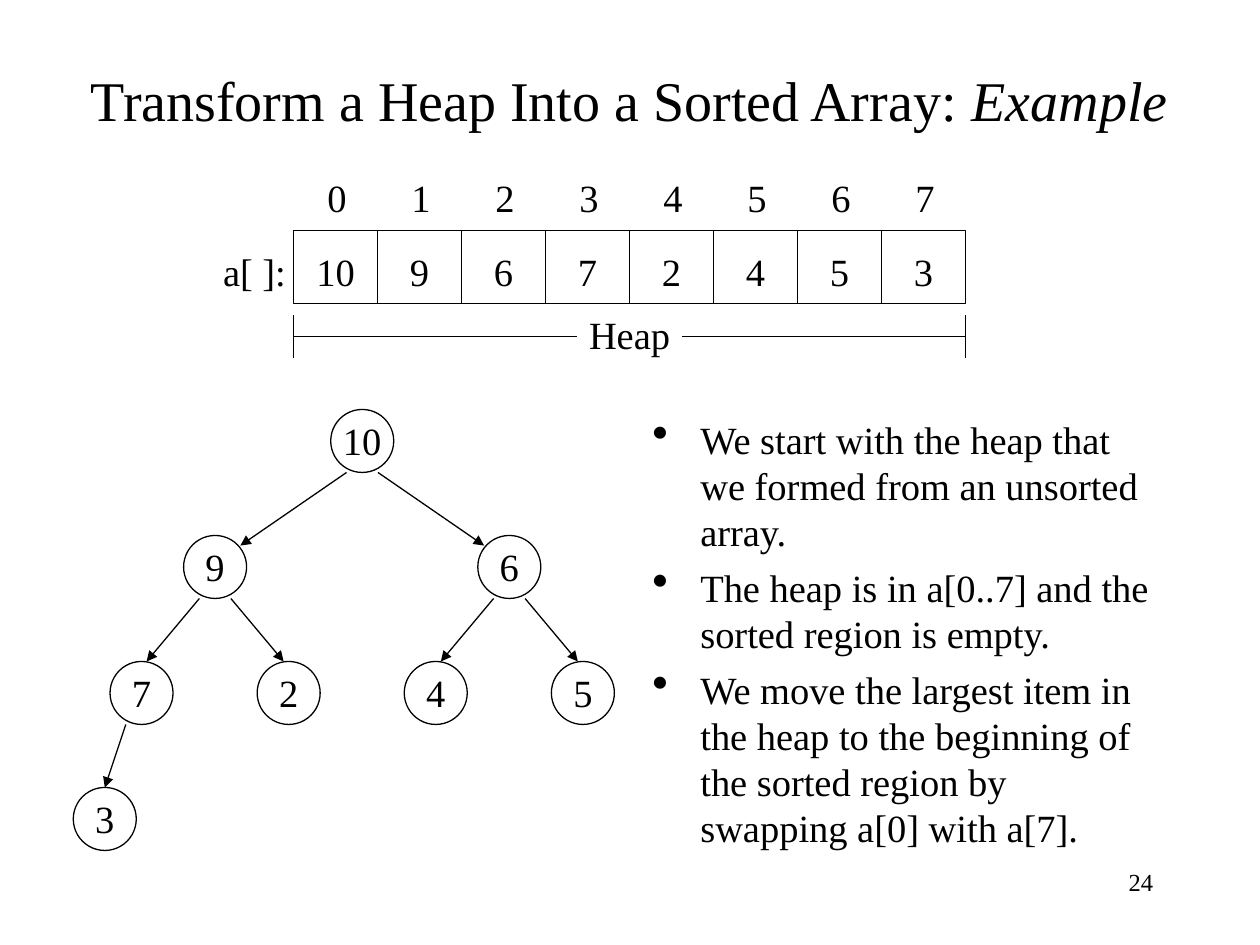
from dataclasses import dataclass

from lxml import etree
from pptx import Presentation
from pptx.dml.color import RGBColor
from pptx.enum.shapes import MSO_CONNECTOR, MSO_SHAPE
from pptx.enum.text import MSO_ANCHOR, PP_ALIGN
from pptx.oxml.ns import qn
from pptx.util import Inches, Pt

LEFT, CENTER, RIGHT = PP_ALIGN.LEFT, PP_ALIGN.CENTER, PP_ALIGN.RIGHT
TOP, MIDDLE = MSO_ANCHOR.TOP, MSO_ANCHOR.MIDDLE
ELLIPSE, RECTANGLE = MSO_SHAPE.OVAL, MSO_SHAPE.RECTANGLE
STRAIGHT = MSO_CONNECTOR.STRAIGHT


@dataclass(frozen=True)
class Theme:
    font: str = "Times New Roman"
    ink: RGBColor = RGBColor(0, 0, 0)
    title: float = 32
    body: float = 22
    page_number: float = 14
    line: float = 0.75


THEME = Theme()

HEAP = [10, 9, 6, 7, 2, 4, 5, 3]
NOTES = [
    "We start with the heap that we formed from an unsorted array.",
    "The heap is in a[0..7] and the sorted region is empty.",
    "We move the largest item in the heap to the beginning of the sorted "
    "region by swapping a[0] with a[7].",
]

ARRAY_LEFT, ARRAY_TOP = 2.33, 1.83
CELL_WIDTH, CELL_HEIGHT = 2 / 3, 0.58
TREE_LEFT, TREE_TOP, TREE_WIDTH = 0.54, 3.25, 4.67
NODE_SIZE, LEVEL_STEP = 0.5, 1
# Where an arrow lands, by depth of the child: offset from its top centre
ARROW_LANDING = {1: (0.2, 0.08), 2: (0.04, 0), 3: (0, 0)}


def write_text(frame, text, *, size=THEME.body, align=CENTER, anchor=MIDDLE,
               wrap=True, bullet=False, space_before=0):
    """Fill a frame; text is a string or a list of paragraphs,
    each a string or a list of (words, italic) runs."""
    frame.word_wrap = wrap
    frame.vertical_anchor = anchor
    for number, content in enumerate([text] if isinstance(text, str) else text):
        paragraph = frame.add_paragraph() if number else frame.paragraphs[0]
        paragraph.alignment = align
        if bullet:
            add_bullet(paragraph)
        if number:
            paragraph.space_before = Pt(space_before)
        runs = [(content, False)] if isinstance(content, str) else content
        for words, italic in runs:
            run = paragraph.add_run()
            run.text = words
            run.font.name = THEME.font
            run.font.size = Pt(size)
            run.font.italic = italic
            run.font.color.rgb = THEME.ink


def add_bullet(paragraph):
    properties = paragraph._p.get_or_add_pPr()
    properties.set("marL", str(Inches(0.38)))
    properties.set("indent", str(Inches(-0.38)))
    etree.SubElement(properties, qn("a:buSzPct"), val="120000")
    etree.SubElement(properties, qn("a:buChar"), char="•")


def add_text(slide, text, left, top, width, height, **text_format):
    box = slide.shapes.add_textbox(Inches(left), Inches(top), Inches(width), Inches(height))
    write_text(box.text_frame, text, **text_format)


def add_outlined(slide, kind, text, left, top, width, height, text_shift=0):
    """Add an unfilled shape whose text sits text_shift below its middle."""
    shape = slide.shapes.add_shape(kind, Inches(left), Inches(top), Inches(width), Inches(height))
    shape.shadow.inherit = False
    shape.fill.background()
    shape.line.color.rgb = THEME.ink
    shape.line.width = Pt(THEME.line)
    frame = shape.text_frame
    frame.margin_left = frame.margin_right = 0
    frame.margin_top = Inches(0.05 + text_shift)
    frame.margin_bottom = Inches(0.05 - text_shift)
    write_text(frame, text, wrap=False)


def add_line(slide, start, end, arrow=False):
    points = [Inches(value) for value in (*start, *end)]
    connector = slide.shapes.add_connector(STRAIGHT, *points)
    connector.line.color.rgb = THEME.ink
    connector.line.width = Pt(THEME.line)
    if arrow:
        etree.SubElement(connector.line._get_or_add_ln(), qn("a:tailEnd"), type="triangle")
    etree.SubElement(connector._element.spPr, qn("a:effectLst"))


def add_array(slide, values):
    add_text(slide, "a[ ]:", 1.67, 1.92, 0.7, 0.47, wrap=False)
    for index, value in enumerate(values):
        left = ARRAY_LEFT + index * CELL_WIDTH
        add_text(slide, str(index), left + 0.17, 1.33, 0.33, 0.47, anchor=TOP, wrap=False)
        add_outlined(slide, RECTANGLE, str(value), left, ARRAY_TOP,
                     CELL_WIDTH, CELL_HEIGHT, text_shift=0.03)


def add_range_marker(slide, label, left, right, middle):
    """Mark a span with end ticks and a label in a gap at its centre."""
    centre, gap, tick = (left + right) / 2, 0.42, 0.17
    for end, side in ((left, -1), (right, 1)):
        add_line(slide, (end, middle - tick), (end, middle + tick))
        add_line(slide, (end, middle), (centre + side * gap, middle))
    add_text(slide, label, centre - gap, middle - 0.25, 2 * gap, 0.47, wrap=False)


def node_place(index):
    """Return depth, centre x and top of a heap index in the tree."""
    depth = (index + 1).bit_length() - 1
    slots = 2 ** depth
    slot = index + 1 - slots
    centre = TREE_LEFT + TREE_WIDTH * (slot + 0.5) / slots
    return depth, centre, TREE_TOP + depth * LEVEL_STEP


def add_tree(slide, values):
    for index, value in enumerate(values):
        depth, centre, top = node_place(index)
        add_outlined(slide, ELLIPSE, str(value), centre - NODE_SIZE / 2, top,
                     NODE_SIZE, NODE_SIZE, text_shift=-0.01)
        if index:
            _, parent_centre, parent_top = node_place((index - 1) // 2)
            side = -1 if index % 2 else 1
            inward, down = ARROW_LANDING[depth]
            add_line(slide, (parent_centre + side * 0.125, parent_top + NODE_SIZE),
                     (centre - side * inward, top + down), arrow=True)


def main():
    presentation = Presentation()
    presentation.slide_width, presentation.slide_height = Inches(10), Inches(7.5)
    slide = presentation.slides.add_slide(presentation.slide_layouts[6])

    title = [("Transform a Heap Into a Sorted Array: ", False), ("Example", True)]
    add_text(slide, [title], 0.58, 0.5, 8.83, 0.58, size=THEME.title)
    add_array(slide, HEAP)
    add_range_marker(slide, "Heap", ARRAY_LEFT, ARRAY_LEFT + len(HEAP) * CELL_WIDTH, 2.67)
    add_tree(slide, HEAP)
    add_text(slide, NOTES, 5.08, 3.25, 4.25, 3.67, align=LEFT, anchor=TOP,
             bullet=True, space_before=5.5)
    add_text(slide, "24", 7.17, 6.83, 2.08, 0.5, size=THEME.page_number,
             align=RIGHT, anchor=TOP)

    presentation.save("out.pptx")


if __name__ == "__main__":
    main()
